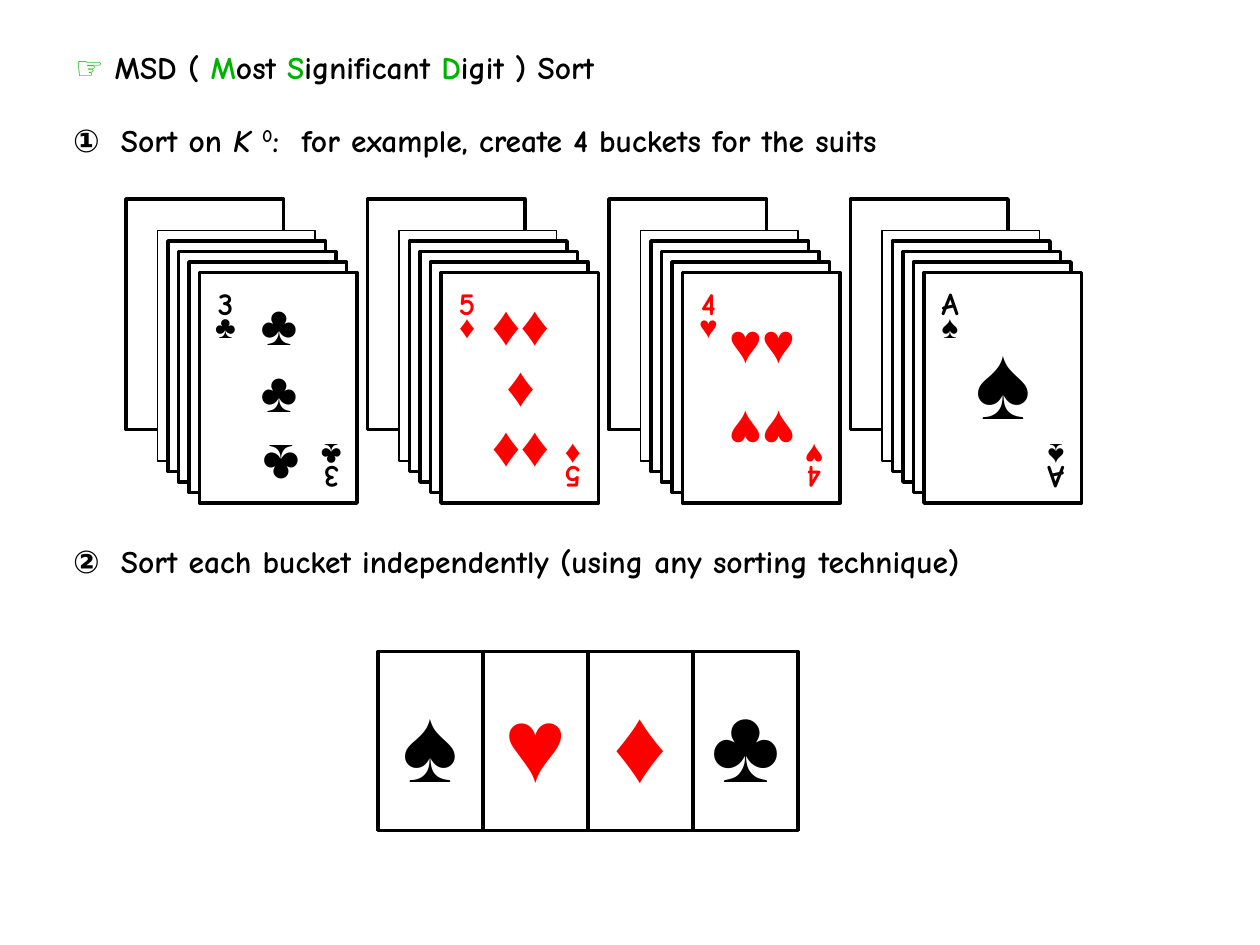
from pptx import Presentation
from pptx.dml.color import RGBColor
from pptx.enum.shapes import MSO_SHAPE
from pptx.enum.text import MSO_ANCHOR, PP_ALIGN
from pptx.util import Inches, Pt

COLORS = {"black": "000000", "white": "FFFFFF", "red": "FF0000", "green": "00B200"}
SYMBOL, BODY = "Arial", "Comic Neue"


def rgb(name):
    return RGBColor.from_string(COLORS[name])


class CardSlide:
    def __init__(self, presentation):
        self.slide = presentation.slides.add_slide(presentation.slide_layouts[6])
        self.shapes = self.slide.shapes

    def start_group(self):
        self.shapes = self.slide.shapes.add_group_shape().shapes

    def end_group(self):
        self.shapes = self.slide.shapes

    def card(self, left, top, width, height, line=2):
        card = self.shapes.add_shape(MSO_SHAPE.RECTANGLE, *map(Inches, (left, top, width, height)))
        card.shadow.inherit = False
        card.fill.solid()
        card.fill.fore_color.rgb = rgb("white")
        card.line.color.rgb = rgb("black")
        card.line.width = Pt(line)
        return card

    def center_lines(self, shape, lines, size, color, spacing=None):
        """Centre (text, font name) lines in a shape."""
        frame = shape.text_frame
        frame.word_wrap = False
        frame.vertical_anchor = MSO_ANCHOR.MIDDLE
        frame.margin_left = frame.margin_right = 0
        for index, (text, font) in enumerate(lines):
            line = frame.add_paragraph() if index else frame.paragraphs[0]
            line.text = text
            line.alignment = PP_ALIGN.CENTER
            if spacing:
                line.line_spacing = spacing
            line.font.name = font
            line.font.size = Pt(size)
            line.font.bold = True
            line.font.color.rgb = rgb(color)

    def label(self, box, lines, size, color, spacing=None, rotation=0):
        label = self.shapes.add_textbox(*map(Inches, box))
        label.rotation = rotation
        self.center_lines(label, lines, size, color, spacing)

    def heading(self, box, runs, margin=0, hanging=0):
        """Put (text, font, colour, style) runs on one line; style is "", "italic" or "super"."""
        frame = self.shapes.add_textbox(*map(Inches, box)).text_frame
        frame.word_wrap = True
        frame.margin_left = frame.margin_right = Inches(margin)
        line = frame.paragraphs[0]
        if hanging:
            properties = line._p.get_or_add_pPr()
            properties.set("marL", str(Inches(hanging)))
            properties.set("indent", str(-Inches(hanging)))
        line.font.size = Pt(18)
        line.font.bold = True
        for text, font, color, style in runs:
            run = line.add_run()
            run.text = text
            run.font.name = font
            run.font.color.rgb = rgb(color)
            if style == "italic":
                run.font.italic = True
            elif style == "super":
                run._r.get_or_add_rPr().set("baseline", "30000")

    def bucket(self, left, rank, suit, color, pips):
        """Draw a pile of cards; pips are (dx, top, width, height, rows, size, spacing, rotation)."""
        self.start_group()
        self.card(left, 1.58, 1.25, 1.83)
        for step in range(5):
            shift = (3 + step) / 12
            self.card(left + shift, 1.58 + shift, 1.25, 1.83, line=2 if step else 0.75)
        corner = [(rank, BODY), (suit, SYMBOL)]
        for dx, top, rotation in ((0.58, 2.29, 0), (1.42, 3.42, 180)):
            self.label((left + dx, top, 0.42, 0.5), corner, 18, color, 0.6, rotation)
        for dx, top, width, height, rows, size, spacing, rotation in pips:
            lines = [(suit * count, SYMBOL) for count in rows]
            self.label((left + dx, top, width, height), lines, size, color, spacing, rotation)
        self.end_group()


BUCKETS = [
    ("3", "♣", "black", [(0.88, 2.33, 0.67, 1, (1, 1), 32, None, 0),
                         (0.92, 3.42, 0.62, 0.58, (1,), 32, None, 180)]),
    ("5", "♦", "red", [(0.88, 2.33, 0.67, 1.5, (2, 1, 2), 32, 0.9, 0)]),
    ("4", "♥", "red", [(0.88, 2.42, 0.67, 0.58, (2,), 32, None, 0),
                       (0.88, 3.15, 0.67, 0.58, (2,), 32, None, 180)]),
    ("A", "♠", "black", [(0.88, 2.5, 0.67, 1, (1,), 60, None, 0)]),
]


def main():
    presentation = Presentation()
    presentation.slide_width, presentation.slide_height = Inches(10), Inches(7.5)
    page = CardSlide(presentation)

    title = [("☞", SYMBOL, "green", ""), (" MSD ( ", BODY, "black", "")]
    for initial, rest in (("M", "ost "), ("S", "ignificant "), ("D", "igit ) Sort")):
        title += [(initial, BODY, "green", ""), (rest, BODY, "black", "")]
    page.heading((0.5, 0.33, 9, 0.4), title, margin=0.1)

    page.heading((0.58, 0.91, 8.75, 0.4), [
        ("①", SYMBOL, "black", ""),
        ("\tSort on ", BODY, "black", ""),
        ("K ", BODY, "black", "italic"),
        ("0", BODY, "black", "super"),
        (":  for example, create 4 buckets for the suits", BODY, "black", ""),
    ], hanging=0.38)
    for index, bucket in enumerate(BUCKETS):
        page.bucket(1 + index * 23 / 12, *bucket)

    page.heading((0.58, 4.25, 8.92, 0.4), [
        ("②", SYMBOL, "black", ""),
        ("\tSort each bucket independently (using any sorting technique)", BODY, "black", ""),
    ], hanging=0.38)
    suits = (("♠", "black"), ("♥", "red"), ("♦", "red"), ("♣", "black"))
    for index, (suit, color) in enumerate(suits):
        sorted_card = page.card(3 + index * 5 / 6, 5.17, 5 / 6, 1.42)
        page.center_lines(sorted_card, [(suit, SYMBOL)], 60, color)

    presentation.save("out.pptx")


if __name__ == "__main__":
    main()
